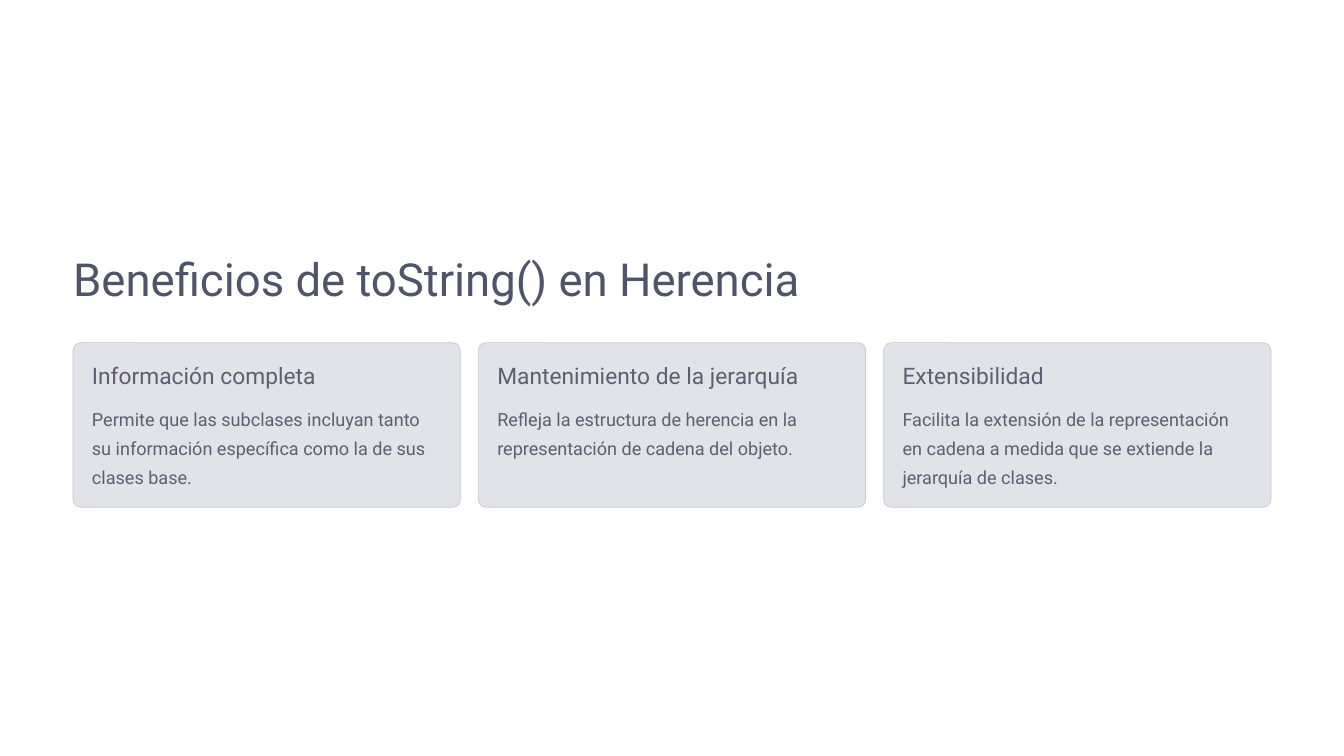
from pptx import Presentation
from pptx.dml.color import RGBColor
from pptx.enum.shapes import MSO_SHAPE
from pptx.enum.text import MSO_ANCHOR, PP_ALIGN
from pptx.util import Inches, Pt

WHITE = RGBColor(0xFF, 0xFF, 0xFF)
TITLE_INK = RGBColor(0x50, 0x54, 0x68)
BODY_INK = RGBColor(0x5B, 0x5F, 0x71)
CARD_FILL = RGBColor(0xE2, 0xE3, 0xE9)
CARD_EDGE = RGBColor(0xC8, 0xC9, 0xCF)

BENEFITS = [
    ("Información completa",
     "Permite que las subclases incluyan tanto su información específica como la de sus clases base."),
    ("Mantenimiento de la jerarquía",
     "Refleja la estructura de herencia en la representación de cadena del objeto."),
    ("Extensibilidad",
     "Facilita la extensión de la representación en cadena a medida que se extiende la jerarquía de clases."),
]


class BenefitSlide:
    """Hold the style and current slide, and draw on a grid of equal columns."""

    font = "Roboto"
    width, height = 16, 9
    margin, card_width, inset = 0.87, 4.61, 0.225
    card_top, card_height = 4.08, 1.96

    def __init__(self, deck, columns):
        deck.slide_width = Inches(self.width)
        deck.slide_height = Inches(self.height)
        self.slide = deck.slides.add_slide(deck.slide_layouts[6])
        background = self.slide.background.fill
        background.solid()
        background.fore_color.rgb = WHITE
        free = self.width - 2 * self.margin - self.card_width
        self.pitch = free / (columns - 1)

    def column(self, index):
        return self.margin + index * self.pitch

    def text(self, words, left, top, width, height, size, leading, ink, wrap=False):
        box = self.slide.shapes.add_textbox(
            Inches(left), Inches(top), Inches(width), Inches(height))
        frame = box.text_frame
        frame.margin_left = frame.margin_right = 0
        frame.margin_top = frame.margin_bottom = 0
        frame.word_wrap = wrap
        frame.vertical_anchor = MSO_ANCHOR.TOP
        paragraph = frame.paragraphs[0]
        paragraph.alignment = PP_ALIGN.LEFT
        paragraph.line_spacing = Pt(leading)
        run = paragraph.add_run()
        run.text = words
        run.font.name = self.font
        run.font.size = Pt(size)
        run.font.color.rgb = ink

    def title(self, words):
        self.text(words, self.margin, 2.96, 9.23, 0.68, 39, 48.5, TITLE_INK)

    def card(self, index, heading, detail):
        left = self.column(index)
        panel = self.slide.shapes.add_shape(
            MSO_SHAPE.ROUNDED_RECTANGLE, Inches(left), Inches(self.card_top),
            Inches(self.card_width), Inches(self.card_height))
        panel.adjustments[0] = 0.046
        panel.shadow.inherit = False
        panel.fill.solid()
        panel.fill.fore_color.rgb = CARD_FILL
        panel.line.color.rgb = CARD_EDGE
        panel.line.width = Pt(0.6)
        text_left = left + self.inset
        text_width = self.card_width - 2 * self.inset
        self.text(heading, text_left, self.card_top + 0.22, text_width, 0.34,
                  19.5, 24, BODY_INK)
        self.text(detail, text_left, self.card_top + 0.69, text_width, 1.04,
                  15.5, 25, BODY_INK, wrap=True)


def main():
    deck = Presentation()
    page = BenefitSlide(deck, len(BENEFITS))
    page.title("Beneficios de toString() en Herencia")
    for index, (heading, detail) in enumerate(BENEFITS):
        page.card(index, heading, detail)
    deck.save("out.pptx")


if __name__ == "__main__":
    main()
